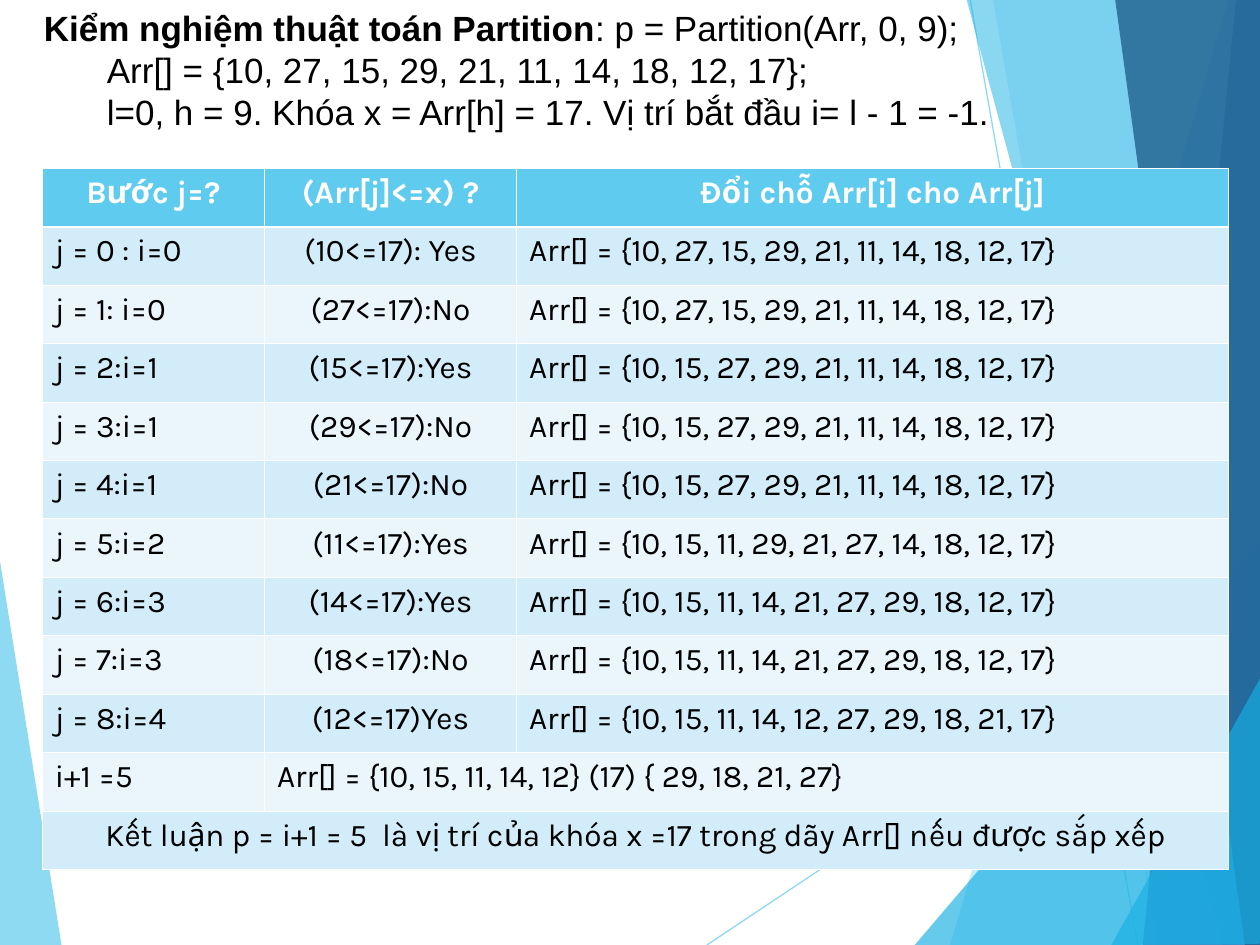
from dataclasses import dataclass

from lxml.etree import SubElement
from pptx import Presentation
from pptx.dml.color import RGBColor
from pptx.enum.shapes import MSO_CONNECTOR as Connector
from pptx.enum.text import MSO_AUTO_SIZE as AutoSize, PP_ALIGN as Align
from pptx.oxml.ns import qn
from pptx.util import Inches, Pt


@dataclass(frozen=True)
class Theme:
    sky: str = "5FCBEF"
    cyan: str = "17B0E4"
    blue: str = "2E83C3"
    navy: str = "236292"
    band_dark: str = "D2ECF9"
    band_light: str = "EAF6FC"
    white: str = "FFFFFF"
    black: str = "000000"
    intro_font: str = "Arial"
    table_font: str = "Karla"
    intro_size: float = 20
    table_size: float = 18
    line_width: float = 0.75
    border: float = 0.45
    header_border: float = 1.47


class SlideMaker:
    columns, rows = 100, 75

    def __init__(self, deck, theme):
        self.theme = theme
        self.column = deck.slide_width / self.columns
        self.row = deck.slide_height / self.rows
        self.page = deck.slides.add_slide(deck.slide_layouts[6])

    def place(self, column, row):
        return round(column * self.column), round(row * self.row)

    def set_alpha(self, shape, percent):
        for color in shape._element.spPr.iter(qn("a:srgbClr")):
            SubElement(color, qn("a:alpha"), val=str(percent * 1000))

    def polygon(self, points, color, opacity):
        start, *others = [self.place(*point) for point in points]
        builder = self.page.shapes.build_freeform(*start)
        builder.add_line_segments(others, close=True)
        shape = builder.convert_to_shape()
        shape.shadow.inherit = False
        shape.fill.solid()
        shape.fill.fore_color.rgb = RGBColor.from_string(color)
        shape.line.fill.background()
        self.set_alpha(shape, opacity)

    def line(self, start, end, color, opacity):
        line = self.page.shapes.add_connector(
            Connector.STRAIGHT, *self.place(*start), *self.place(*end))
        line.line.color.rgb = RGBColor.from_string(color)
        line.line.width = Pt(self.theme.line_width)
        self.set_alpha(line, opacity)
        SubElement(line._element.spPr, qn("a:effectLst"))

    def span(self, para, text, font, size, color, bold=False):
        span = para.add_run()
        span.text = text
        span.font.name = font
        span.font.size = Pt(size)
        span.font.bold = bold
        span.font.color.rgb = RGBColor.from_string(color)

    def text(self, position, size, paragraphs):
        box = self.page.shapes.add_textbox(*self.place(*position), *self.place(*size))
        frame = box.text_frame
        frame.word_wrap = True
        frame.auto_size = AutoSize.SHAPE_TO_FIT_TEXT
        for index, spans in enumerate(paragraphs):
            para = frame.add_paragraph() if index else frame.paragraphs[0]
            para.alignment = Align.JUSTIFY
            for text, bold in spans:
                self.span(para, text, self.theme.intro_font,
                          self.theme.intro_size, self.theme.black, bold)

    def cell_borders(self, cell, top, bottom):
        properties = cell._tc.get_or_add_tcPr()
        widths = {"L": self.theme.border, "R": self.theme.border, "T": top, "B": bottom}
        for side, width in widths.items():
            line = SubElement(properties, qn(f"a:ln{side}"), w=str(Pt(width)))
            fill = SubElement(line, qn("a:solidFill"))
            SubElement(fill, qn("a:srgbClr"), val=self.theme.white)

    def table(self, position, widths, height, records):
        theme = self.theme
        table = self.page.shapes.add_table(
            len(records), len(widths), *self.place(*position),
            *self.place(sum(widths), height)).table
        table.horz_banding = False
        for column, width in zip(table.columns, widths):
            column.width = round(width * self.column)
        for index, record in enumerate(records):
            table.rows[index].height = round(height * self.row / len(records))
            header = index == 0
            band = theme.band_dark if index % 2 else theme.band_light
            top = theme.header_border if index == 1 else theme.border
            bottom = theme.header_border if header else theme.border
            for place in range(len(widths)):
                cell = table.cell(index, place)
                self.cell_borders(cell, top, bottom)
                cell.fill.solid()
                cell.fill.fore_color.rgb = RGBColor.from_string(theme.sky if header else band)
            last = len(record) - 1
            if last < len(widths) - 1:
                table.cell(index, last).merge(table.cell(index, len(widths) - 1))
            for place, text in enumerate(record):
                para = table.cell(index, place).text_frame.paragraphs[0]
                centred = header or last == 0 or (place == 1 and last == 2)
                para.alignment = Align.CENTER if centred else Align.LEFT
                self.span(para, text, theme.table_font, theme.table_size,
                          theme.white if header else theme.black, header)


def draw_background(maker, theme):
    maker.polygon([(-0.1, 43.9), (4.9, 75.1), (-0.1, 75)], theme.sky, 70)
    maker.line((56.1, 75), (100.1, 45.7), theme.sky, 70)
    maker.line((77, 0), (90.3, 75), theme.sky, 70)
    facets = [
        ([(97.5, 0), (75.4, 75), (100.2, 75.1), (100.1, 0.1)], theme.sky, 36),
        ([(78.8, -0.1), (91.9, 75), (100.1, 75), (100.1, -0.1)], theme.sky, 20),
        ([(72.6, 75), (100, 42.9), (100.1, 75)], theme.cyan, 66),
        ([(76.7, -0.1), (97, 75), (100.1, 74.9), (100.1, -0.1)], theme.cyan, 50),
        ([(98.1, -0.1), (90.7, 75), (100.1, 75), (100, -0.1)], theme.blue, 70),
        ([(88.5, -0.1), (98.8, 75), (100.2, 75), (100, -0.1)], theme.navy, 82),
        ([(88.2, 75), (100.2, 53.5), (100.2, 74.9)], theme.cyan, 66),
    ]
    for points, color, opacity in facets:
        maker.polygon(points, color, opacity)


INTRO = [
    [("Kiểm nghiệm thuật toán Partition", True), (": p = Partition(Arr, 0, 9);", False)],
    [("\tArr[] = {10, 27, 15, 29, 21, 11, 14, 18, 12, 17};", False)],
    [("\tl=0, h = 9. Khóa x = Arr[h] = 17. Vị trí bắt đầu i= l - 1 = -1.", False)],
]

STEPS = [
    ("j = 0 : i=0", "(10<=17): Yes", "10, 27, 15, 29, 21, 11, 14, 18, 12, 17"),
    ("j = 1: i=0", "(27<=17):No", "10, 27, 15, 29, 21, 11, 14, 18, 12, 17"),
    ("j = 2:i=1", "(15<=17):Yes", "10, 15, 27, 29, 21, 11, 14, 18, 12, 17"),
    ("j = 3:i=1", "(29<=17):No", "10, 15, 27, 29, 21, 11, 14, 18, 12, 17"),
    ("j = 4:i=1", "(21<=17):No", "10, 15, 27, 29, 21, 11, 14, 18, 12, 17"),
    ("j = 5:i=2", "(11<=17):Yes", "10, 15, 11, 29, 21, 27, 14, 18, 12, 17"),
    ("j = 6:i=3", "(14<=17):Yes", "10, 15, 11, 14, 21, 27, 29, 18, 12, 17"),
    ("j = 7:i=3", "(18<=17):No", "10, 15, 11, 14, 21, 27, 29, 18, 12, 17"),
    ("j = 8:i=4", "(12<=17)Yes", "10, 15, 11, 14, 12, 27, 29, 18, 21, 17"),
]

RECORDS = [
    ("Bước j=?", "(Arr[j]<=x) ?", "Đổi chỗ Arr[i] cho Arr[j]"),
    *[(step, test, f"Arr[] = {{{values}}}") for step, test, values in STEPS],
    ("i+1 =5", "Arr[] = {10, 15, 11, 14, 12} (17) { 29, 18, 21, 27}"),
    ("Kết luận p = i+1 = 5  là vị trí của khóa x =17 trong dãy Arr[] nếu được sắp xếp",),
]


def main():
    deck = Presentation()
    deck.slide_width, deck.slide_height = Inches(10), Inches(7.5)
    theme = Theme()
    maker = SlideMaker(deck, theme)
    draw_background(maker, theme)
    maker.text((2.5, 0), (95, 11), INTRO)
    maker.table((3.35, 13.35), (17.65, 20, 56.5), 55.7, RECORDS)
    deck.save("out.pptx")


if __name__ == "__main__":
    main()
